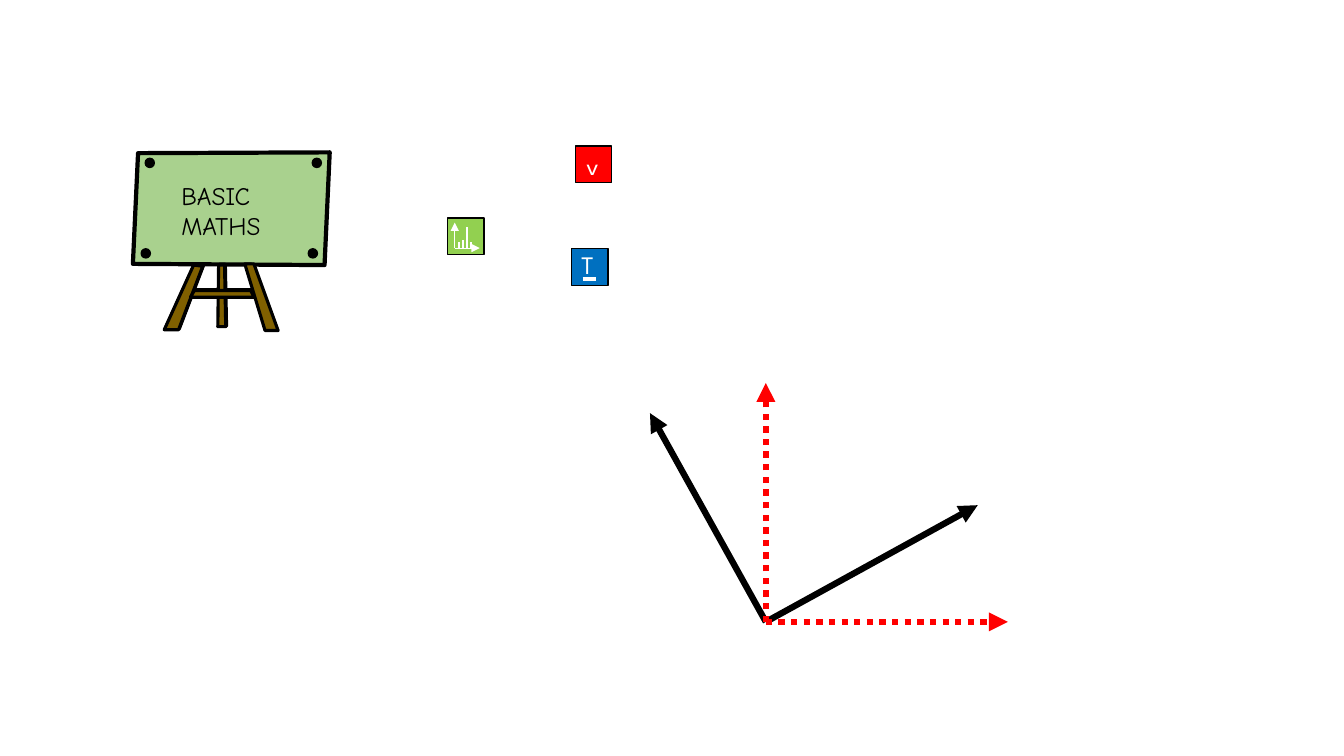
"""Build a maths slide with an easel, three topic tiles and two pairs of axes."""
from dataclasses import dataclass
from typing import Optional

from pptx import Presentation
from pptx.dml.color import RGBColor
from pptx.enum.dml import MSO_LINE
from pptx.enum.shapes import MSO_CONNECTOR, MSO_SHAPE
from pptx.oxml.ns import qn
from pptx.oxml.xmlchemy import OxmlElement
from pptx.shapes.autoshape import Shape
from pptx.shapes.shapetree import GroupShapes, SlideShapes
from pptx.util import Cm, Pt

BLACK = RGBColor(0x00, 0x00, 0x00)
WHITE = RGBColor(0xFF, 0xFF, 0xFF)
RED = RGBColor(0xFF, 0x00, 0x00)
BLUE = RGBColor(0x00, 0x70, 0xC0)
LIME = RGBColor(0x92, 0xD0, 0x50)
BOARD_GREEN = RGBColor(0xA9, 0xD1, 0x8E)
WOOD = RGBColor(0x80, 0x60, 0x00)

RECTANGLE = MSO_SHAPE.RECTANGLE
OVAL = MSO_SHAPE.OVAL
STRAIGHT = MSO_CONNECTOR.STRAIGHT
DOTTED = MSO_LINE.ROUND_DOT
BLANK_LAYOUT = 6

Point = tuple[float, float]


@dataclass(frozen=True)
class Preset:
    """A square preset shape with a thin black outline."""
    kind: MSO_SHAPE
    corner: Point
    size: float
    fill: RGBColor


@dataclass(frozen=True)
class Panel:
    """A closed polygon with a black outline."""
    points: tuple[Point, ...]
    fill: Optional[RGBColor]
    width: float = 2.25


@dataclass(frozen=True)
class Label:
    """A text box holding one paragraph."""
    text: str
    corner: Point
    size: Point
    font: str
    color: RGBColor


@dataclass(frozen=True)
class Stroke:
    """A straight line, with an optional arrowhead and dots."""
    start: Point
    end: Point
    color: RGBColor
    width: float
    arrow: bool = False
    dotted: bool = False


TILE, PIN = 0.92, 0.23
TILES = [
    Preset(RECTANGLE, (11.28, 5.49), TILE, LIME),
    Preset(RECTANGLE, (14.5, 3.68), TILE, RED),
    Preset(RECTANGLE, (14.4, 6.27), TILE, BLUE),
]
BOARD = Panel(((3.48, 3.86), (8.31, 3.84), (8.18, 6.68), (3.35, 6.65)), BOARD_GREEN, 3)
PINS = [Preset(OVAL, corner, PIN, BLACK)
        for corner in ((3.66, 3.99), (7.87, 3.99), (3.56, 6.27), (7.77, 6.27))]

LEFT_LEG = ((4.88, 6.68), (5.11, 6.71), (4.5, 8.31), (4.14, 8.31))
RIGHT_LEG = ((6.17, 6.65), (6.4, 6.65), (7.01, 8.33), (6.68, 8.33))
POST = ((5.51, 6.68), (5.66, 6.68), (5.69, 8.23), (5.49, 8.23))
RUNG = ((4.9, 7.32), (6.32, 7.32), (6.4, 7.49), (4.8, 7.49))
EDGE_SHIFT = 0.02
EDGES = [Panel(tuple((x + EDGE_SHIFT, y - EDGE_SHIFT) for x, y in part), None)
         for part in (LEFT_LEG, POST, RUNG)]
TIMBER = [Panel(part, WOOD) for part in (RIGHT_LEG, LEFT_LEG, POST, RUNG)]

LABELS = [
    Label("BASIC MATHS", (4.32, 4.42), (3.18, 1.8), "Comic Neue", BLACK),
    Label("v", (14.53, 3.66), (0.64, 1.02), "League Spartan", WHITE),
    Label("T", (14.4, 6.15), (0.64, 1.02), "League Spartan", WHITE),
]

CHART_ORIGIN = (11.46, 6.25)
CHART_AXES = [Stroke(CHART_ORIGIN, end, WHITE, 0.75, arrow=True)
              for end in ((12.09, 6.25), (11.46, 5.61))]
BARS = [Stroke((11.56 + 0.1 * index, 6.25), (11.56 + 0.1 * index, top), WHITE, 1.5)
        for index, top in enumerate((6.1, 6.05, 5.72, 6.1))]
UNDERLINES = [Stroke((14.68, y), (15.01, y), WHITE, 1) for y in (7.01, 7.06)]

ORIGIN = (19.3, 15.67)
VECTORS = [Stroke(ORIGIN, end, BLACK, 4.5, arrow=True)
           for end in ((16.38, 10.41), (24.64, 12.73))]
AXES = [Stroke(ORIGIN, end, RED, 4.5, arrow=True, dotted=True)
        for end in ((19.3, 9.65), (25.4, 15.67))]


def paint(shape: Shape, fill: Optional[RGBColor], width: float) -> None:
    """Give a shape its fill and black outline, without shadow."""
    shape.shadow.inherit = False
    if fill is None:
        shape.fill.background()
    else:
        shape.fill.solid()
        shape.fill.fore_color.rgb = fill
    shape.line.color.rgb = BLACK
    shape.line.width = Pt(width)


def draw_preset(shapes: SlideShapes, preset: Preset) -> None:
    """Draw a tile or a pin."""
    left, top = preset.corner
    shape = shapes.add_shape(preset.kind, Cm(left), Cm(top), Cm(preset.size), Cm(preset.size))
    paint(shape, preset.fill, 1)


def draw_panel(shapes: SlideShapes, panel: Panel) -> None:
    """Draw the board or a piece of the easel."""
    first, *others = [(Cm(x), Cm(y)) for x, y in panel.points]
    builder = shapes.build_freeform(*first)
    builder.add_line_segments(others, close=True)
    paint(builder.convert_to_shape(), panel.fill, panel.width)


def draw_label(shapes: SlideShapes, label: Label) -> None:
    """Write a label in its text box."""
    box = shapes.add_textbox(*(Cm(length) for length in label.corner + label.size))
    box.text_frame.word_wrap = True
    box.text_frame.text = label.text
    font = box.text_frame.paragraphs[0].runs[0].font
    font.name = label.font
    font.size = Pt(18)
    font.color.rgb = label.color


def draw_stroke(shapes: GroupShapes | SlideShapes, stroke: Stroke) -> None:
    """Draw a line or an arrow."""
    ends = (Cm(length) for length in stroke.start + stroke.end)
    connector = shapes.add_connector(STRAIGHT, *ends)
    connector.line.color.rgb = stroke.color
    connector.line.width = Pt(stroke.width)
    if stroke.dotted:
        connector.line.dash_style = DOTTED
    properties = connector._element.spPr
    if stroke.arrow:
        head = OxmlElement("a:tailEnd")
        head.set("type", "triangle")
        properties.find(qn("a:ln")).append(head)
    properties.append(OxmlElement("a:effectLst"))


def main() -> None:
    """Assemble and save the slide."""
    deck = Presentation()
    deck.slide_width, deck.slide_height = Cm(33.87), Cm(19.05)
    page = deck.slides.add_slide(deck.slide_layouts[BLANK_LAYOUT])
    shapes = page.shapes
    for tile in TILES:
        draw_preset(shapes, tile)
    draw_panel(shapes, BOARD)
    for pin in PINS:
        draw_preset(shapes, pin)
    for panel in EDGES + TIMBER:
        draw_panel(shapes, panel)
    for label in LABELS:
        draw_label(shapes, label)
    for stroke in CHART_AXES + BARS + UNDERLINES:
        draw_stroke(shapes, stroke)
    diagram = shapes.add_group_shape()
    for stroke in VECTORS + AXES:
        draw_stroke(diagram.shapes, stroke)
    deck.save("out.pptx")


if __name__ == "__main__":
    main()
